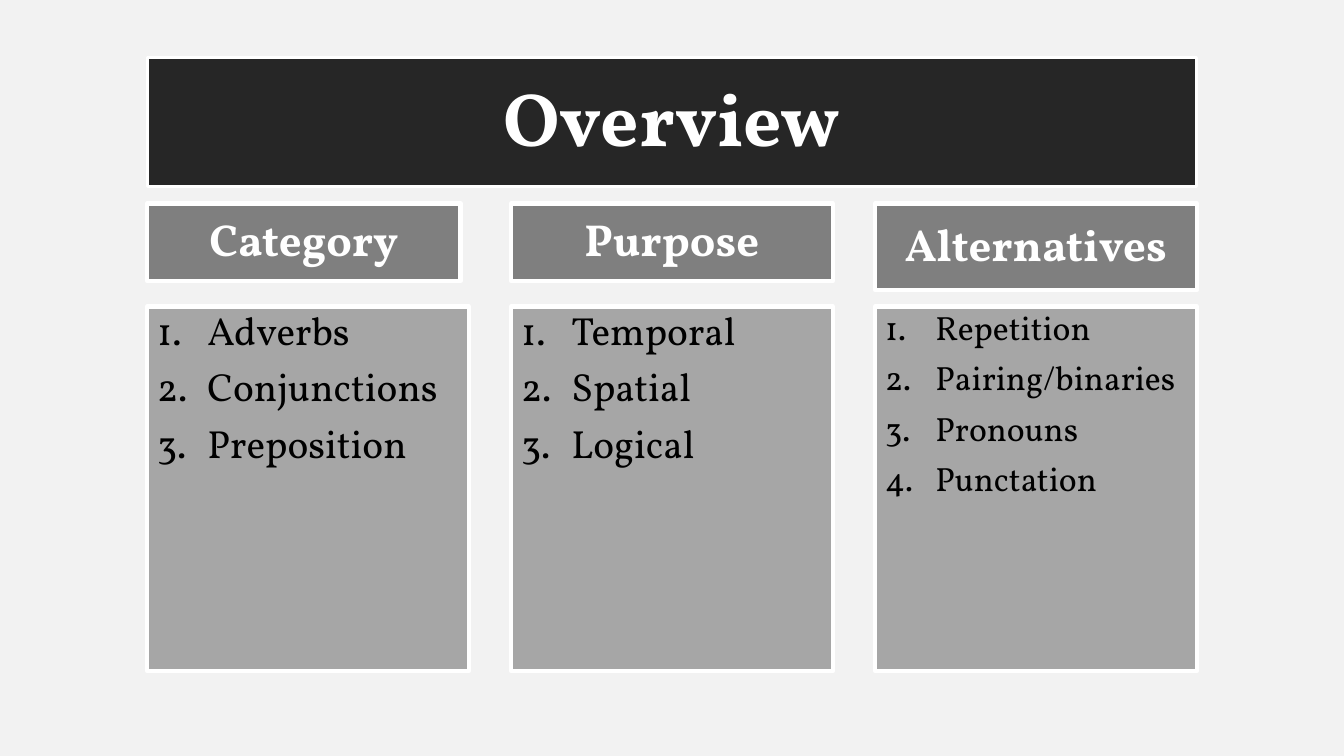
import pptx
import pptx.util
import pptx.dml.color
import pptx.enum.shapes
import pptx.enum.text
import pptx.oxml.ns
from lxml import etree

Pt = pptx.util.Pt
FONT = "Vollkorn"
LEFT, PITCH, COLUMN_W = 105.1, 260, 229.7
HEADER_TOP, LIST_TOP, LIST_H = 145.4, 218.9, 260.6

# heading, heading width, heading height, item size, items
COLUMNS = [
    ("Category", 223.9, 55.4, 28, ["Adverbs", "Conjunctions", "Preposition"]),
    ("Purpose", COLUMN_W, 55.4, 28, ["Temporal", "Spatial", "Logical"]),
    ("Alternatives", COLUMN_W, 61.9, 24,
     ["Repetition", "Pairing/binaries", "Pronouns", "Punctation"]),
]


def rgb(value):
    return pptx.dml.color.RGBColor.from_string(value)


def style_box(sp, fill, line_width, anchor):
    sp.fill.solid()
    sp.fill.fore_color.rgb = rgb(fill)
    sp.line.color.rgb = rgb("FFFFFF")
    sp.line.width = Pt(line_width)
    sp.shadow.inherit = False
    tf = sp.text_frame
    tf.word_wrap = True
    tf.auto_size = pptx.enum.text.MSO_AUTO_SIZE.NONE
    tf.vertical_anchor = anchor
    return tf


def add_box(s, x, y, w, h, fill, anchor):
    sp = s.shapes.add_shape(pptx.enum.shapes.MSO_SHAPE.RECTANGLE,
                            Pt(x), Pt(y), Pt(w), Pt(h))
    return style_box(sp, fill, 3, anchor)


def write(p, text, size, color, align, bold=False):
    p.alignment = align
    p.line_spacing = 0.9
    r = p.add_run()
    r.text = text
    r.font.name = FONT
    r.font.size = Pt(size)
    r.font.bold = bold
    r.font.color.rgb = rgb(color)


def number(p):
    pPr = p._p.get_or_add_pPr()
    pPr.set("marL", str(Pt(36)))
    pPr.set("indent", str(-Pt(36)))
    etree.SubElement(pPr, pptx.oxml.ns.qn("a:buAutoNum"), type="arabicPeriod")


def add_title(s, x, y, w, h):
    sp = s.shapes.title
    sp.left, sp.top, sp.width, sp.height = Pt(x), Pt(y), Pt(w), Pt(h)
    tf = style_box(sp, "262626", 2.25, pptx.enum.text.MSO_ANCHOR.MIDDLE)
    write(tf.paragraphs[0], "Overview", 54, "FFFFFF",
          pptx.enum.text.PP_ALIGN.CENTER, True)


def add_column(s, x, heading, heading_w, heading_h, size, items):
    # Heading
    tf = add_box(s, x, HEADER_TOP, heading_w, heading_h, "7F7F7F",
                 pptx.enum.text.MSO_ANCHOR.MIDDLE)
    write(tf.paragraphs[0], heading, 32, "FFFFFF",
          pptx.enum.text.PP_ALIGN.CENTER, True)

    # Numbered list
    tf = add_box(s, x, LIST_TOP, COLUMN_W, LIST_H, "A6A6A6",
                 pptx.enum.text.MSO_ANCHOR.TOP)
    for i, item in enumerate(items):
        p = tf.add_paragraph() if i else tf.paragraphs[0]
        number(p)
        p.space_before = Pt(10 if i else 0)
        write(p, item, size, "000000", pptx.enum.text.PP_ALIGN.LEFT)


def main():
    prs = pptx.Presentation()
    prs.slide_width, prs.slide_height = Pt(960), Pt(540)
    s = prs.slides.add_slide(prs.slide_layouts[5])
    s.background.fill.solid()
    s.background.fill.fore_color.rgb = rgb("F2F2F2")

    add_title(s, LEFT, 41, 2 * PITCH + COLUMN_W, 92.2)
    for i, column in enumerate(COLUMNS):
        add_column(s, LEFT + i * PITCH, *column)
    prs.save("out.pptx")


if __name__ == "__main__":
    main()
